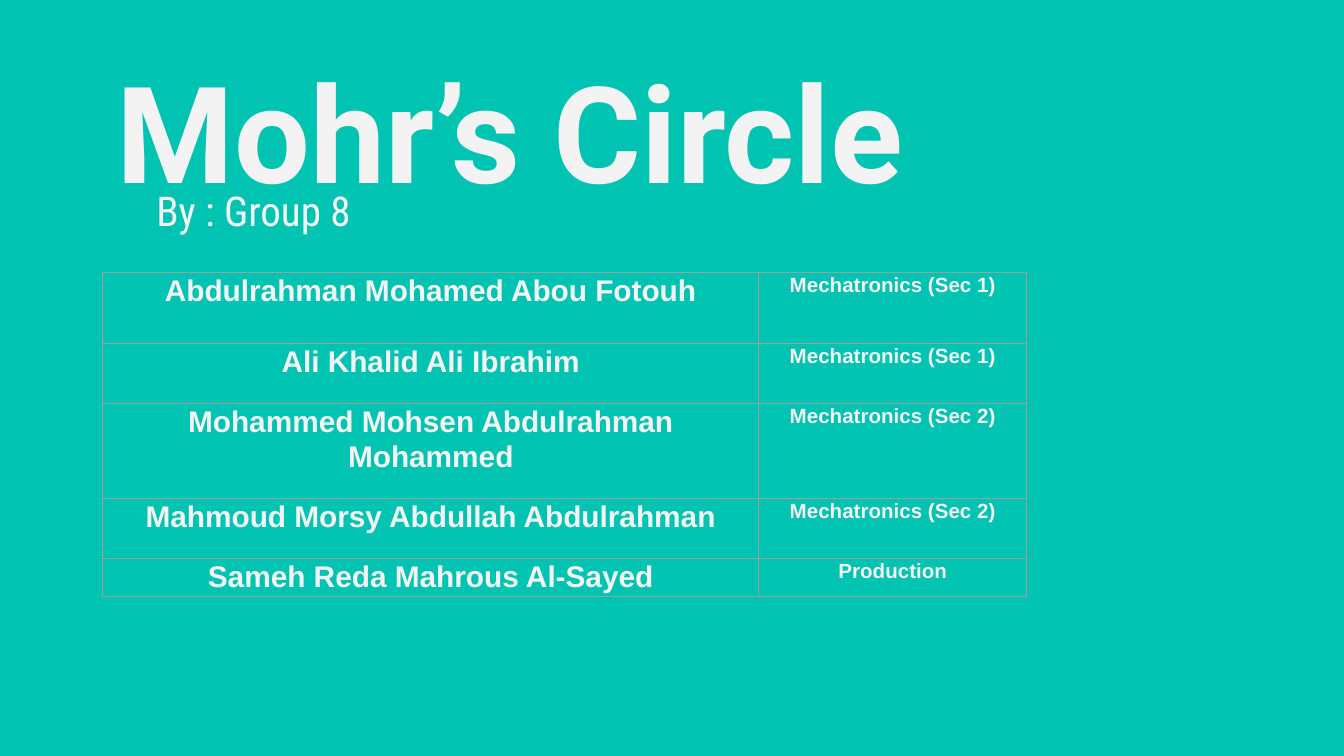
from lxml import etree
from pptx import Presentation
from pptx.dml.color import RGBColor
from pptx.enum.text import MSO_ANCHOR, PP_ALIGN
from pptx.oxml.ns import qn
from pptx.util import Inches, Pt

TOP, BOTTOM = MSO_ANCHOR.TOP, MSO_ANCHOR.BOTTOM
LEFT, CENTER = PP_ALIGN.LEFT, PP_ALIGN.CENTER

TEAL = RGBColor(0x00, 0xC3, 0xB1)
PALE = RGBColor(0xF3, 0xF3, 0xF3)
GRAY = RGBColor(0x9E, 0x9E, 0x9E)

# Grid of square units, 100 columns wide and 56.25 rows high
UNIT = Inches(0.1)
COLUMNS, ROWS = 100, 56.25

# Boxes in grid units: left, top, width, height
TITLE_BOX = (7.7, -0.25, 62.3, 16.9)
SUBTITLE_BOX = (10.65, 12.8, 37, 4.8)
TABLE_BOX = (7.65, 20.27, 68.75, 23.9)

NAME_SHARE = 0.71
ROW_WEIGHTS = (5.28, 4.46, 7.07, 4.46, 2.63)
MEMBERS = (
    ("Abdulrahman Mohamed Abou Fotouh", "Mechatronics (Sec 1)"),
    ("Ali Khalid Ali Ibrahim", "Mechatronics (Sec 1)"),
    ("Mohammed Mohsen Abdulrahman Mohammed", "Mechatronics (Sec 2)"),
    ("Mahmoud Morsy Abdullah Abdulrahman", "Mechatronics (Sec 2)"),
    ("Sameh Reda Mahrous Al-Sayed", "Production"),
)


def grid(length):
    return round(length * UNIT)


def write_text(frame, text, *, size, font="Arial", bold=False, align=LEFT, spacing=1.0):
    frame.word_wrap = True
    para = frame.paragraphs[0]
    para.alignment = align
    para.line_spacing = spacing
    span = para.add_run()
    span.text = text
    span.font.name = font
    span.font.size = Pt(size)
    span.font.bold = bold
    span.font.color.rgb = PALE


def add_heading(page, box, text, *, anchor=TOP, **text_format):
    frame = page.shapes.add_textbox(*map(grid, box)).text_frame
    frame.vertical_anchor = anchor
    frame.margin_left = frame.margin_right = Inches(0.1)
    frame.margin_top = frame.margin_bottom = Inches(0.1)
    write_text(frame, text, **text_format)


def draw_borders(cell):
    properties = cell._tc.get_or_add_tcPr()
    for side in ("lnL", "lnR", "lnT", "lnB"):
        line = etree.SubElement(properties, qn(f"a:{side}"), w=str(Pt(0.75)))
        fill = etree.SubElement(line, qn("a:solidFill"))
        etree.SubElement(fill, qn("a:srgbClr"), val=str(GRAY))


def add_member_table(page, box, members):
    table = page.shapes.add_table(len(members), 2, *map(grid, box)).table
    table.first_row = table.horz_banding = False
    width, height = box[2:]

    # Column and row sizes
    for column, share in zip(table.columns, (NAME_SHARE, 1 - NAME_SHARE)):
        column.width = grid(width * share)
    for row, weight in zip(table.rows, ROW_WEIGHTS):
        row.height = grid(height * weight / sum(ROW_WEIGHTS))

    # Names and sections
    for row, member in zip(table.rows, members):
        for cell, text, size in zip(row.cells, member, (16, 11)):
            draw_borders(cell)
            cell.fill.background()
            cell.margin_left = cell.margin_right = Inches(0.07)
            cell.margin_top = cell.margin_bottom = 0
            write_text(cell.text_frame, text, size=size, bold=True,
                       align=CENTER, spacing=1.07)


def build_title_page(deck):
    page = deck.slides.add_slide(deck.slide_layouts[6])
    page.background.fill.solid()
    page.background.fill.fore_color.rgb = TEAL
    add_heading(page, TITLE_BOX, "Mohr’s Circle", anchor=BOTTOM,
                size=72, font="Roboto", bold=True)
    add_heading(page, SUBTITLE_BOX, "By : Group 8",
                size=22, font="Roboto Condensed")
    add_member_table(page, TABLE_BOX, MEMBERS)


def main():
    deck = Presentation()
    deck.slide_width, deck.slide_height = grid(COLUMNS), grid(ROWS)
    build_title_page(deck)
    deck.save("out.pptx")


if __name__ == "__main__":
    main()
